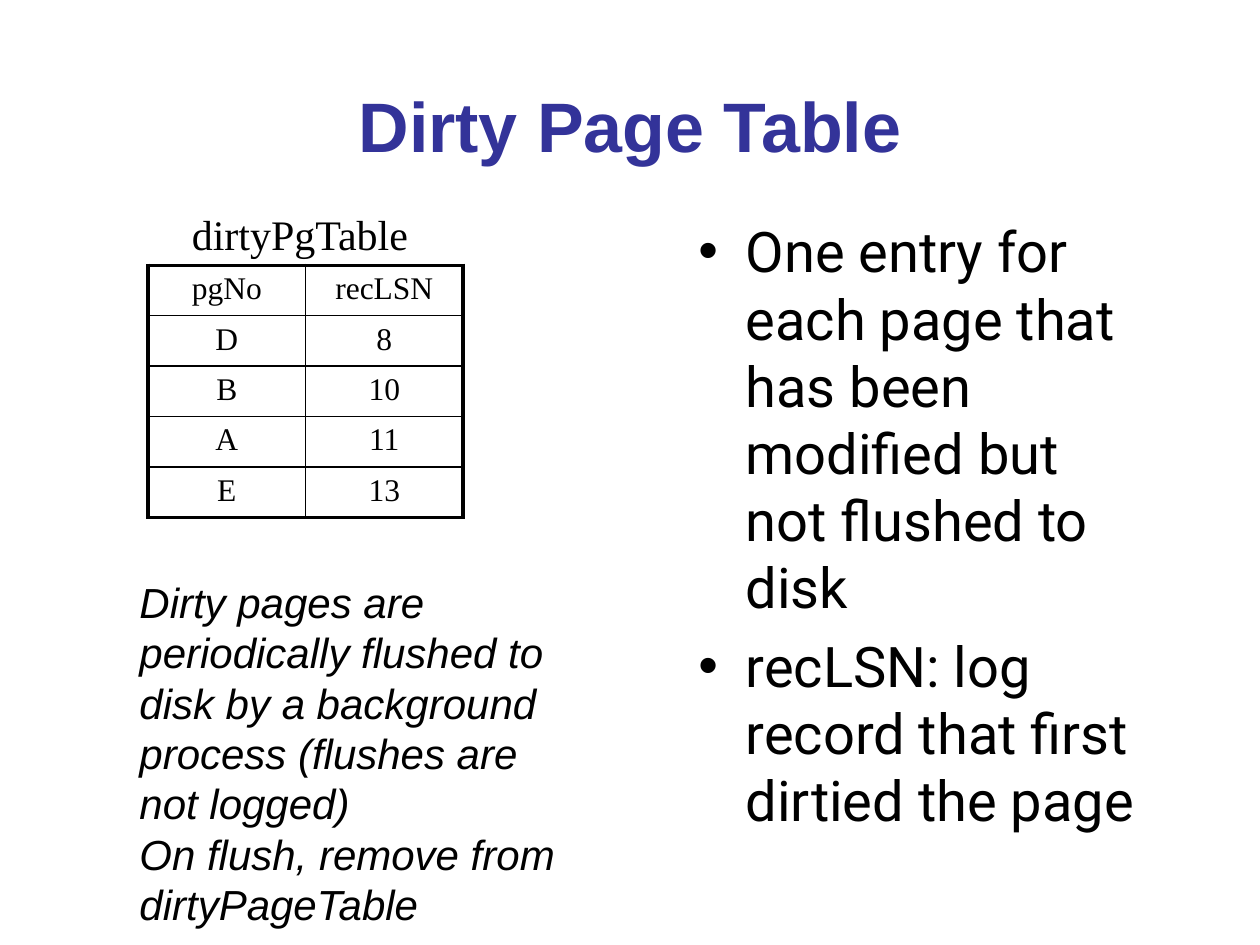
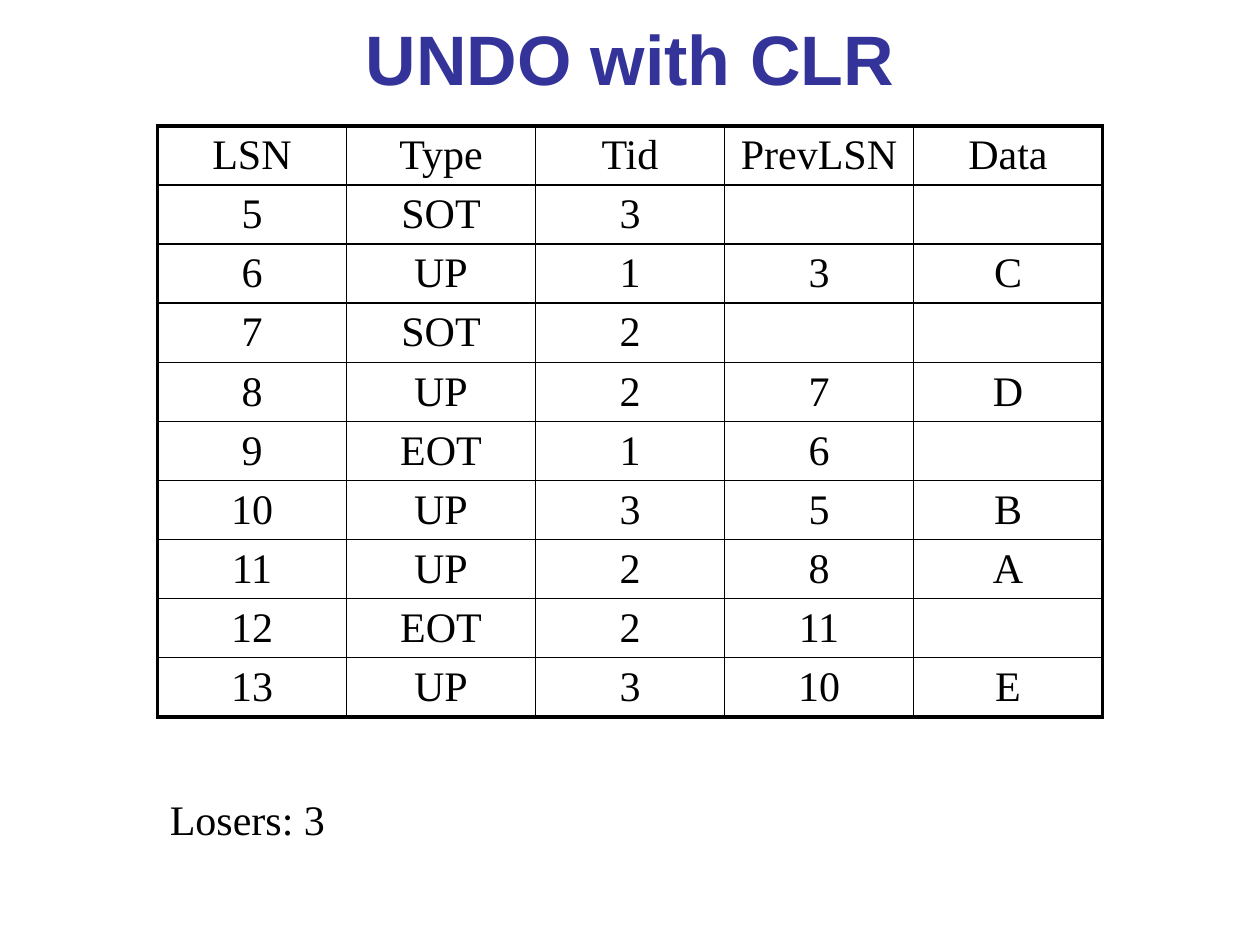
from lxml.etree import SubElement as Sub
from pptx import Presentation
from pptx.dml.color import RGBColor as Rgb
from pptx.enum.text import MSO_ANCHOR as Anchor, PP_ALIGN as Align
from pptx.oxml.ns import qn
from pptx.util import Pt

HUES = {"title": "333399", "ink": "000000", "paper": "FFFFFF"}
SANS, BODY, SERIF = "Arial", "Roboto", "Times New Roman"
THICK, THIN = 2.25, 1

PAGES = [
    ("pgNo", "recLSN"),
    ("D", "8"),
    ("B", "10"),
    ("A", "11"),
    ("E", "13"),
]
POINTS = [
    "One entry for each page that has been modified but not flushed to disk",
    "recLSN: log record that first dirtied the page",
]
FLUSH = [
    "Dirty pages are periodically flushed to disk by a background process "
    "(flushes are not logged)",
    "On flush, remove from dirtyPageTable",
]
LOG = [
    ("LSN", "Type", "Tid", "PrevLSN", "Data"),
    ("5", "SOT", "3", "", ""),
    ("6", "UP", "1", "3", "C"),
    ("7", "SOT", "2", "", ""),
    ("8", "UP", "2", "7", "D"),
    ("9", "EOT", "1", "6", ""),
    ("10", "UP", "3", "5", "B"),
    ("11", "UP", "2", "8", "A"),
    ("12", "EOT", "2", "11", ""),
    ("13", "UP", "3", "10", "E"),
]


def add_run(para, text, size, face, hue="ink", bold=False, slant=False):
    run = para.add_run()
    run.text = text
    font = run.font
    font.size, font.name = Pt(size), face
    font.bold, font.italic = bold, slant
    font.color.rgb = Rgb.from_string(HUES[hue])


def add_dot(para):
    """Give a paragraph a round bullet with a hanging indent."""
    props = para._p.get_or_add_pPr()
    props.set("marL", str(Pt(27)))
    props.set("indent", str(Pt(-27)))
    Sub(props, qn("a:buFont"), typeface="Arial")
    Sub(props, qn("a:buChar"), char="•")


def add_text(slide, at, lines, size, face, wrap=True, dots=False, gap=0,
             align=Align.LEFT, anchor=Anchor.TOP, **style):
    frame = slide.shapes.add_textbox(*map(Pt, at)).text_frame
    frame.word_wrap = wrap
    frame.vertical_anchor = anchor
    for i, line in enumerate(lines):
        para = frame.add_paragraph() if i else frame.paragraphs[0]
        para.alignment = align
        if i and gap:
            para.space_before = Pt(gap)
        if dots:
            add_dot(para)
        add_run(para, line, size, face, **style)


def add_title(slide, text, top):
    add_text(slide, (54, top, 612, 78), [text], 40, SANS, hue="title",
             bold=True, align=Align.CENTER, anchor=Anchor.MIDDLE)


def set_edges(cell, edges):
    """Draw the four borders of a cell; they must come before its fill."""
    props = cell._tc.get_or_add_tcPr()
    for side, width in edges.items():
        line = Sub(props, qn("a:ln" + side), w=str(Pt(width)))
        Sub(Sub(line, qn("a:solidFill")), qn("a:srgbClr"), val=HUES["ink"])


def add_grid(slide, rows, left, top, wide, high, size, fill=None):
    """Add a table with thin inner lines and a thick frame."""
    down, across = len(rows), len(rows[0])
    grid = slide.shapes.add_table(down, across, Pt(left), Pt(top),
                                  Pt(wide * across), Pt(high * down)).table
    grid.first_row = grid.horz_banding = False
    for col in grid.columns:
        col.width = Pt(wide)
    for r, row in enumerate(rows):
        grid.rows[r].height = Pt(high)
        for c, text in enumerate(row):
            cell = grid.cell(r, c)
            cell.margin_bottom = 0
            outer = {"L": c == 0, "R": c == across - 1,
                     "T": r == 0, "B": r == down - 1}
            set_edges(cell, {side: THICK if out else THIN
                             for side, out in outer.items()})
            if fill:
                cell.fill.solid()
                cell.fill.fore_color.rgb = Rgb.from_string(HUES[fill])
            else:
                cell.fill.background()
            para = cell.text_frame.paragraphs[0]
            para.alignment = Align.CENTER
            if text:
                add_run(para, text, size, SERIF)


def add_slide(deck):
    slide = deck.slides.add_slide(deck.slide_layouts[6])
    slide.background.fill.solid()
    slide.background.fill.fore_color.rgb = Rgb.from_string(HUES["paper"])
    return slide


def draw_pages(slide):
    add_title(slide, "Dirty Page Table", 32.4)
    add_text(slide, (392, 120.4, 274, 359), POINTS, 32, BODY, dots=True,
             gap=6.4)
    add_text(slide, (102.5, 115.7, 140, 36), ["dirtyPgTable"], 24, SERIF,
             wrap=False)
    add_grid(slide, PAGES, 84.6, 151.6, 90, 28.8, 18, fill="paper")
    add_text(slide, (72.6, 325.8, 256, 211), FLUSH, 24, SANS, slant=True)


def draw_log(slide):
    add_title(slide, "UNDO with CLR", -6)
    add_grid(slide, LOG, 90, 72, 108, 33.77, 24)
    add_text(slide, (90, 450, 282, 36), ["Losers: 3"], 24, SERIF)


def main():
    deck = Presentation()
    deck.slide_width, deck.slide_height = Pt(720), Pt(540)
    for draw in (draw_pages, draw_log):
        draw(add_slide(deck))
    deck.save("out.pptx")


if __name__ == "__main__":
    main()
